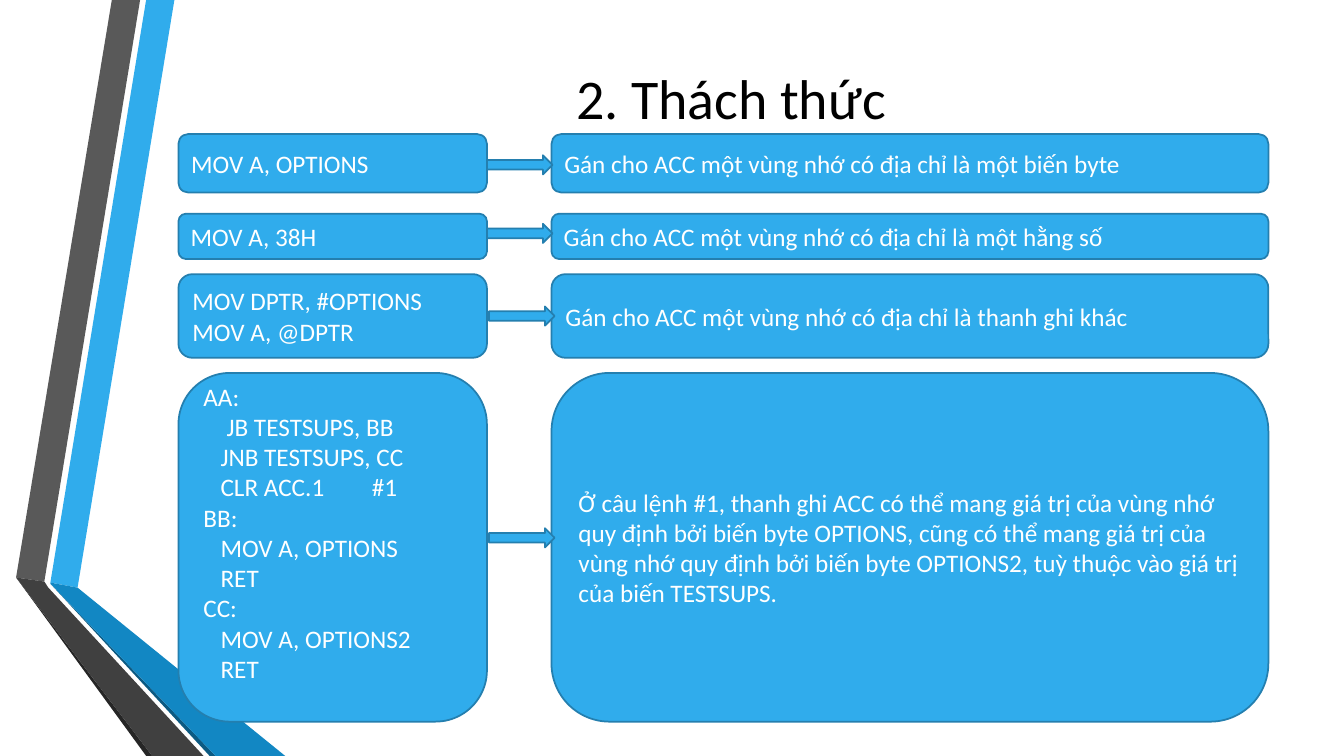
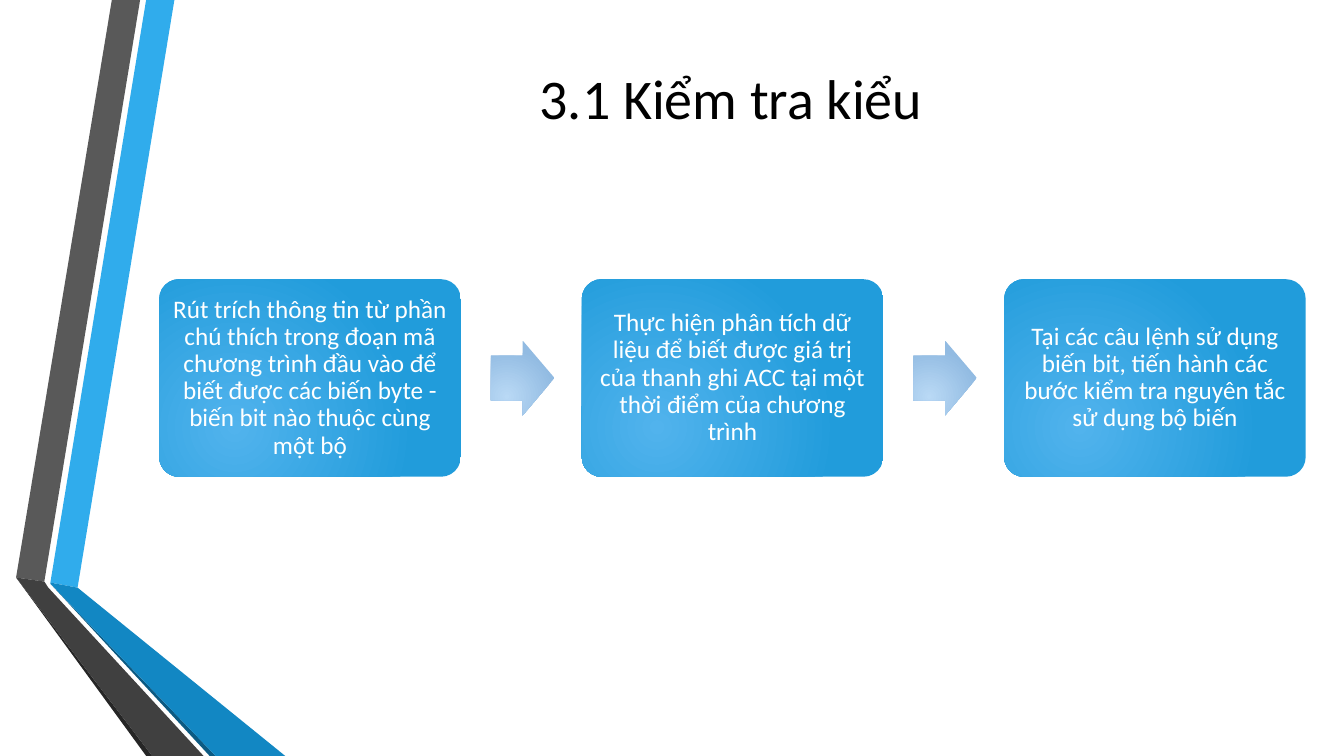
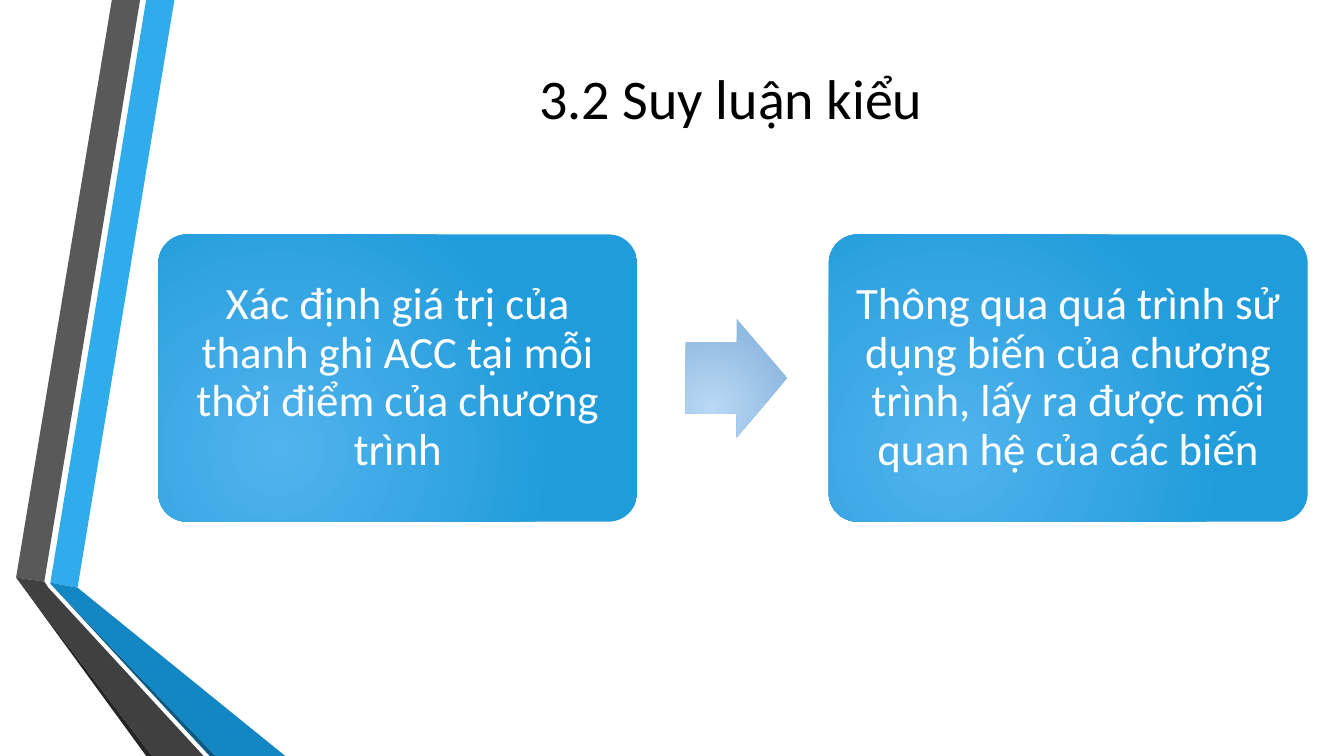
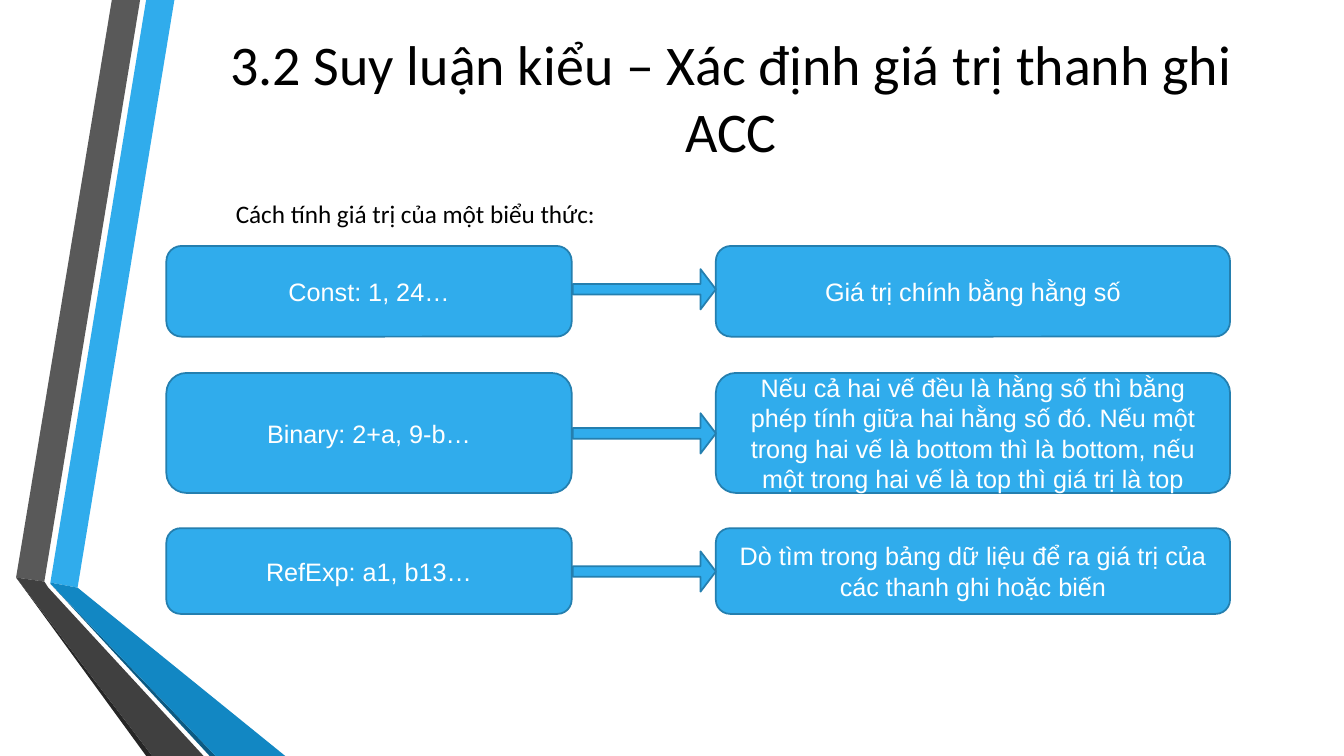
from lxml import etree
from pptx import Presentation
from pptx import util as u
from pptx.dml.color import RGBColor
from pptx.enum import shapes, text
from pptx.oxml.ns import qn

COLORS = {
    "blue": "30ACEC", "outline": "247FAF", "white": "FFFFFF", "black": "000000",
    "gray": "595959", "dark_gray": "404040", "near_black": "262626",
    "deep_blue": "1287C3", "navy": "0C5A82",
}
STEP_GRADIENT = ("51B3ED", "219CDB")
ARROW_GRADIENT = ("B9D9F5", "92BBE2")
TITLE_ONLY = 5
BOX = shapes.MSO_SHAPE.ROUNDED_RECTANGLE
ARROW = shapes.MSO_SHAPE.RIGHT_ARROW
LEFT, CENTER = text.PP_ALIGN.LEFT, text.PP_ALIGN.CENTER

RIBBONS = [
    ("blue", [(0.5, 5.78), (0.77, 5.83), (1.73, 0), (1.45, 0)]),
    ("gray", [(1.39, 0), (1.11, 0), (0.16, 5.73), (0.44, 5.77)]),
    ("near_black", [(0.16, 5.73), (1.45, 7.5), (1.51, 7.5)]),
    ("navy", [(0.5, 5.79), (2.08, 7.5), (2.14, 7.5)]),
    ("deep_blue", [(0.5, 5.79), (2.14, 7.5), (2.83, 7.5), (0.77, 5.83), (0.5, 5.78)]),
    ("dark_gray", [(2.02, 7.5), (0.48, 5.83), (0.44, 5.77), (0.16, 5.73), (1.51, 7.5)]),
]

BRANCH_CODE = [
    "AA:", "JB TESTSUPS, BB", "JNB TESTSUPS, CC", "CLR ACC.1\t#1",
    "BB:", "MOV A, OPTIONS", "RET",
    "CC:", "MOV A, OPTIONS2", "RET",
]
BRANCH_INDENTS = [0, 0.23, 0.17, 0.17, 0, 0.17, 0.17, 0, 0.17, 0.17]


def rgb(name):
    return RGBColor.from_string(COLORS[name])


def inches(*lengths):
    return [u.Inches(length) for length in lengths]


def write(frame, lines, size=18, font="Calibri", color="white", align=LEFT,
          spacing=None, indents=None, anchor=text.MSO_ANCHOR.MIDDLE):
    """Fill a text frame with one paragraph a line; indents are in inches."""
    frame.word_wrap = True
    frame.auto_size = text.MSO_AUTO_SIZE.NONE
    frame.vertical_anchor = anchor
    for index, line in enumerate(lines):
        paragraph = frame.paragraphs[0] if index == 0 else frame.add_paragraph()
        paragraph.alignment = align
        if spacing:
            paragraph.line_spacing = spacing
        if indents:
            properties = paragraph._p.get_or_add_pPr()
            properties.set("marL", str(u.Inches(indents[index])))
            properties.set("indent", "0")
        run = paragraph.add_run()
        run.text = line
        run.font.size = u.Pt(size)
        run.font.name = font
        run.font.color.rgb = rgb(color)


def move_ribbons_to_layout(slide, layout):
    """Draw the ribbons on a slide, then hand them to the layout all slides share."""
    for color, points in RIBBONS:
        start, *others = [inches(*point) for point in points]
        builder = slide.shapes.build_freeform(*start)
        builder.add_line_segments(others, close=True)
        ribbon = builder.convert_to_shape()
        ribbon.shadow.inherit = False
        ribbon.fill.solid()
        ribbon.fill.fore_color.rgb = rgb(color)
        ribbon.line.fill.background()
        layout.shapes.element.append(ribbon.element)


def add_titled_slide(presentation, title):
    slide = presentation.slides.add_slide(presentation.slide_layouts[TITLE_ONLY])
    shape = slide.shapes.title
    shape.left, shape.top, shape.width, shape.height = inches(1.77, 0, 10.96, 1.92)
    write(shape.text_frame, [title], size=40, color="black", align=CENTER)
    return slide


def add_preset(slide, kind, place, adjustments=()):
    shape = slide.shapes.add_shape(kind, *inches(*place))
    shape.shadow.inherit = False
    for index, value in enumerate(adjustments):
        shape.adjustments[index] = value
    return shape


def add_flat(slide, kind, place, adjustments=()):
    shape = add_preset(slide, kind, place, adjustments)
    shape.fill.solid()
    shape.fill.fore_color.rgb = rgb("blue")
    shape.line.color.rgb = rgb("outline")
    shape.line.width = u.Pt(1.25)
    return shape


def add_glowing(slide, kind, place, adjustments, gradient):
    """Add an unlined shape with a circular gradient from its lower middle."""
    shape = add_preset(slide, kind, place, adjustments)
    shape.line.fill.background()
    shape.fill.gradient()
    for stop, color in zip(shape.fill.gradient_stops, gradient):
        stop.color.rgb = RGBColor.from_string(color)
    fill = shape.element.spPr.find(qn("a:gradFill"))
    fill.remove(fill.find(qn("a:lin")))
    path = etree.SubElement(fill, qn("a:path"), path="circle")
    etree.SubElement(path, qn("a:fillToRect"), l="50000", t="100000", r="100000", b="50000")
    return shape


def add_box(slide, place, lines, **text_format):
    box = add_flat(slide, BOX, place)
    write(box.text_frame, lines, **text_format)
    return box


def add_process(slide, steps, left, pitch, box_size, arrow_size, arrow_offset, size, inset):
    """Add a row of step boxes, centred on the slide's height, with arrows between."""
    middle = 3.75
    width, height = box_size
    arrow_width, arrow_height = arrow_size
    for index, step in enumerate(steps):
        x = left + index * pitch
        box = add_glowing(slide, BOX, (x, middle - height / 2, width, height),
                          [0.1], STEP_GRADIENT)
        frame = box.text_frame
        frame.margin_left = frame.margin_right = u.Inches(inset)
        frame.margin_top = frame.margin_bottom = u.Inches(inset)
        write(frame, [step], size=size, align=CENTER, spacing=0.9)
        if index < len(steps) - 1:
            add_glowing(slide, ARROW,
                        (x + arrow_offset, middle - arrow_height / 2, arrow_width, arrow_height),
                        [0.6, 0.5], ARROW_GRADIENT)


def add_challenges(slide):
    rows = [
        (1.33, 0.58, 4.83, 1.54, ["MOV A, OPTIONS"],
         "Gán cho ACC một vùng nhớ có địa chỉ là một biến byte"),
        (2.12, 0.45, 4.83, 2.22, ["MOV A, 38H"],
         "Gán cho ACC một vùng nhớ có địa chỉ là một hằng số"),
        (2.72, 0.83, 4.85, 3.04, ["MOV DPTR, #OPTIONS", "MOV A, @DPTR"],
         "Gán cho ACC một vùng nhớ có địa chỉ là thanh ghi khác"),
        (3.7, 3.46, 4.85, 5.24, BRANCH_CODE,
         "Ở câu lệnh #1, thanh ghi ACC có thể mang giá trị của vùng nhớ quy định bởi "
         "biến byte OPTIONS, cũng có thể mang giá trị của vùng nhớ quy định bởi biến byte "
         "OPTIONS2, tuỳ thuộc vào giá trị của biến TESTSUPS."),
    ]
    for top, height, arrow_left, arrow_top, code, meaning in rows:
        indents = BRANCH_INDENTS if code is BRANCH_CODE else None
        code_box = add_box(slide, (1.77, top, 3.06, height), code, indents=indents)
        if indents:
            code_box.text_frame.margin_bottom = u.Inches(0.35)
        add_box(slide, (5.47, top, 7.11, height), [meaning])
        add_flat(slide, ARROW, (arrow_left, arrow_top, 0.65, 0.19))


def add_expression_rules(slide):
    caption = slide.shapes.add_textbox(*inches(2.24, 1.92, 10.76, 0.4))
    write(caption.text_frame, ["Cách tính giá trị của một biểu thức:"],
          color="black", anchor=text.MSO_ANCHOR.TOP)
    rows = [
        (2.44, 0.9, 2.67, "Const: 1, 24…", "Giá trị chính bằng hằng số"),
        (3.7, 1.19, 4.1, "Binary: 2+a, 9-b…",
         "Nếu cả hai vế đều là hằng số thì bằng phép tính giữa hai hằng số đó. Nếu một "
         "trong hai vế là bottom thì là bottom, nếu một trong hai vế là top thì giá trị là top"),
        (5.24, 0.85, 5.47, "RefExp: a1, b13…",
         "Dò tìm trong bảng dữ liệu để ra giá trị của các thanh ghi hoặc biến"),
    ]
    for top, height, arrow_top, expression, rule in rows:
        for left, width, line in ((1.65, 4.02, expression), (7.1, 5.1, rule)):
            add_box(slide, (left, top, width, height), [line], font="Arial", align=CENTER)
        add_flat(slide, ARROW, (5.68, arrow_top, 1.42, 0.4), [0.26, 0.38])


def main():
    presentation = Presentation()
    presentation.slide_width, presentation.slide_height = inches(13.33, 7.5)

    slide = add_titled_slide(presentation, "2. Thách thức")
    move_ribbons_to_layout(slide, presentation.slide_layouts[TITLE_ONLY])
    add_challenges(slide)

    slide = add_titled_slide(presentation, "3.1 Kiểm tra kiểu")
    add_process(slide, [
        "Rút trích thông tin từ phần chú thích trong đoạn mã chương trình đầu vào để biết "
        "được các biến byte - biến bit nào thuộc cùng một bộ",
        "Thực hiện phân tích dữ liệu để biết được giá trị của thanh ghi ACC tại một thời "
        "điểm của chương trình",
        "Tại các câu lệnh sử dụng biến bit, tiến hành các bước kiểm tra nguyên tắc sử dụng "
        "bộ biến",
    ], left=1.58, pitch=4.19, box_size=(2.99, 1.96), arrow_size=(0.63, 0.74),
        arrow_offset=3.29, size=18, inset=0.07)

    slide = add_titled_slide(presentation, "3.2 Suy luận kiểu")
    add_process(slide, [
        "Xác định giá trị của thanh ghi ACC tại mỗi thời điểm của chương trình",
        "Thông qua quá trình sử dụng biến của chương trình, lấy ra được mối quan hệ của "
        "các biến",
    ], left=1.57, pitch=6.65, box_size=(4.75, 2.85), arrow_size=(1.01, 1.18),
        arrow_offset=5.23, size=32, inset=0.13)

    slide = add_titled_slide(
        presentation, "3.2 Suy luận kiểu – Xác định giá trị thanh ghi ACC")
    add_expression_rules(slide)

    presentation.save("out.pptx")


if __name__ == "__main__":
    main()
